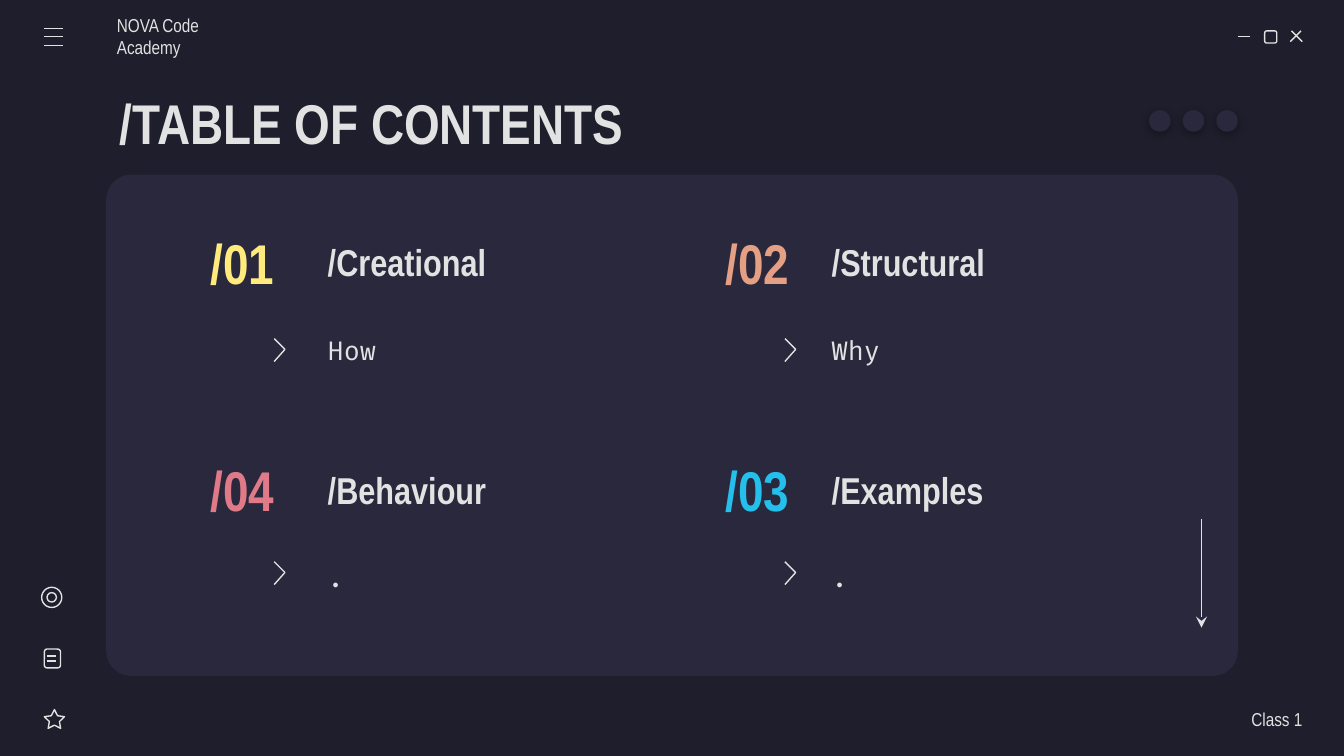
"""Build a dark table-of-contents slide with four numbered sections."""
from dataclasses import dataclass

from lxml import etree
from pptx import Presentation
from pptx import util as u
from pptx.dml.color import RGBColor
from pptx.enum import shapes, text
from pptx.oxml.ns import qn

INK, PANEL, BACK = "E2E2E2", "29283D", "1E1E2C"
HEAD, CODE = "Arial Narrow", "Fira Code"
KIND, ALIGN = shapes.MSO_SHAPE, text.PP_ALIGN


@dataclass
class Topic:
    """One section of the contents grid."""
    num: str
    name: str
    note: str
    color: str
    col: int
    row: int


TOPICS = [
    Topic("/01", "/Creational", "How", "FFEA7D", 0, 0),
    Topic("/02", "/Structural", "Why", "E5A083", 1, 0),
    Topic("/04", "/Behaviour", ".", "E07A88", 0, 1),
    Topic("/03", "/Examples", ".", "24BFEB", 1, 1),
]


def tint(code: str) -> RGBColor:
    """Turn a hex string into a colour."""
    return RGBColor.from_string(code)


def write(box, words: str, *, size=10, font=HEAD, color=INK, bold=False,
          align=ALIGN.LEFT, left=0.1, right=0.1):
    """Put formatted text into a box or placeholder."""
    frame = box.text_frame
    frame.word_wrap = True
    frame.auto_size = text.MSO_AUTO_SIZE.NONE
    frame.vertical_anchor = text.MSO_ANCHOR.MIDDLE
    frame.margin_left, frame.margin_right = u.Inches(left), u.Inches(right)
    frame.margin_top = frame.margin_bottom = u.Inches(0.1)
    para = frame.paragraphs[0]
    para.alignment = align
    run = para.add_run()
    run.text = words
    run.font.size, run.font.name, run.font.bold = u.Pt(size), font, bold
    run.font.color.rgb = tint(color)


def label(slide, x: float, y: float, w: float, h: float, words: str, **look):
    """Add a text box."""
    box = slide.shapes.add_textbox(*map(u.Inches, (x, y, w, h)))
    write(box, words, **look)


def paint(shape, fill: str | None = None):
    """Give a shape a solid fill, or a thin outline when there is none."""
    shape.shadow.inherit = False
    if fill:
        shape.fill.solid()
        shape.fill.fore_color.rgb = tint(fill)
        shape.line.fill.background()
    else:
        shape.fill.background()
        shape.line.color.rgb = tint(INK)
        shape.line.width = u.Pt(0.75)


def form(slide, kind, x: float, y: float, w: float, h: float,
         fill: str | None = None, adj: float | None = None):
    """Add a preset shape."""
    shape = slide.shapes.add_shape(kind, *map(u.Inches, (x, y, w, h)))
    paint(shape, fill)
    if adj is not None:
        shape.adjustments[0] = adj
    return shape


def stroke(slide, x1: float, y1: float, x2: float, y2: float, tip=False):
    """Add a thin line, with an arrowhead if wanted."""
    line = slide.shapes.add_connector(
        shapes.MSO_CONNECTOR.STRAIGHT, *map(u.Inches, (x1, y1, x2, y2)))
    line.line.color.rgb = tint(INK)
    line.line.width = u.Pt(0.75)
    if tip:
        etree.SubElement(line.line._get_or_add_ln(), qn("a:tailEnd"), type="stealth")
    etree.SubElement(line._element.spPr, qn("a:effectLst"))


def chevron(slide, x: float, y: float):
    """Add an open arrow that points right."""
    path = slide.shapes.build_freeform(u.Inches(x), u.Inches(y))
    ends = [(x + 0.08, y + 0.08), (x, y + 0.17)]
    path.add_line_segments([(u.Inches(a), u.Inches(b)) for a, b in ends], close=False)
    paint(path.convert_to_shape())


def dot(slide, x: float):
    """Add a disc with a soft shadow."""
    disc = form(slide, KIND.OVAL, x, 0.82, 0.16, 0.16, PANEL)
    glow = disc._element.spPr.find(qn("a:effectLst"))
    cast = etree.SubElement(glow, qn("a:outerShdw"), blurRad=str(u.Pt(4.5)),
                            dist=str(u.Pt(1.5)), dir="5400000", rotWithShape="0")
    shade = etree.SubElement(cast, qn("a:srgbClr"), val="000000")
    etree.SubElement(shade, qn("a:alpha"), val="30000")


def topic(slide, item: Topic):
    """Add one section of the grid."""
    x, y = 2.34 + 3.75 * item.col, 1.67 + 1.69 * item.row
    label(slide, x, y, 2.55, 0.56, item.name, size=20, bold=True)
    label(slide, 1.35 + 3.83 * item.col, y, 0.91, 0.56, item.num, size=30,
          bold=True, color=item.color, align=ALIGN.CENTER)
    label(slide, x, y + 0.56, 2.55, 0.75, item.note, size=14, font=CODE)
    chevron(slide, 2.04 + 3.8 * item.col, 2.52 + 1.66 * item.row)


def icons(slide):
    """Add the window, menu and side icons."""
    stroke(slide, 9.21, 0.27, 9.3, 0.27)
    form(slide, KIND.ROUNDED_RECTANGLE, 9.41, 0.23, 0.09, 0.09)
    stroke(slide, 9.61, 0.23, 9.69, 0.31)
    stroke(slide, 9.68, 0.23, 9.6, 0.31)
    for y in (0.21, 0.27, 0.34):
        stroke(slide, 0.33, y, 0.47, y)
    form(slide, KIND.STAR_5_POINT, 0.33, 5.28, 0.15, 0.14, adj=0.25)
    form(slide, KIND.ROUNDED_RECTANGLE, 0.33, 4.83, 0.12, 0.14)
    for y in (4.88, 4.92):
        stroke(slide, 0.35, y, 0.42, y)
    form(slide, KIND.OVAL, 0.31, 4.37, 0.15, 0.15)
    form(slide, KIND.OVAL, 0.35, 4.41, 0.07, 0.07)


def main():
    """Build and save the slide."""
    deck = Presentation()
    deck.slide_width, deck.slide_height = u.Inches(10), u.Inches(10 * 9 / 16)
    slide = deck.slides.add_slide(deck.slide_layouts[5])
    slide.background.fill.solid()
    slide.background.fill.fore_color.rgb = tint(BACK)

    title = slide.shapes.title
    title.left, title.top = u.Inches(0.79), u.Inches(0.59)
    title.width, title.height = u.Inches(8.42), u.Inches(0.63)
    write(title, "/TABLE OF CONTENTS", size=30, bold=True)

    form(slide, KIND.ROUNDED_RECTANGLE, 0.79, 1.3, 8.42, 3.73, PANEL, 0.05)
    icons(slide)
    for item in TOPICS:
        topic(slide, item)
    label(slide, 0.87, 0.12, 1.17, 0.3, "NOVA Code Academy", left=0)
    label(slide, 8.52, 5.2, 1.17, 0.3, "Class 1", align=ALIGN.RIGHT, right=0)
    stroke(slide, 8.94, 3.86, 8.94, 4.67, tip=True)
    for i in range(3):
        dot(slide, 8.55 + 0.25 * i)
    deck.save("out.pptx")


if __name__ == "__main__":
    main()
